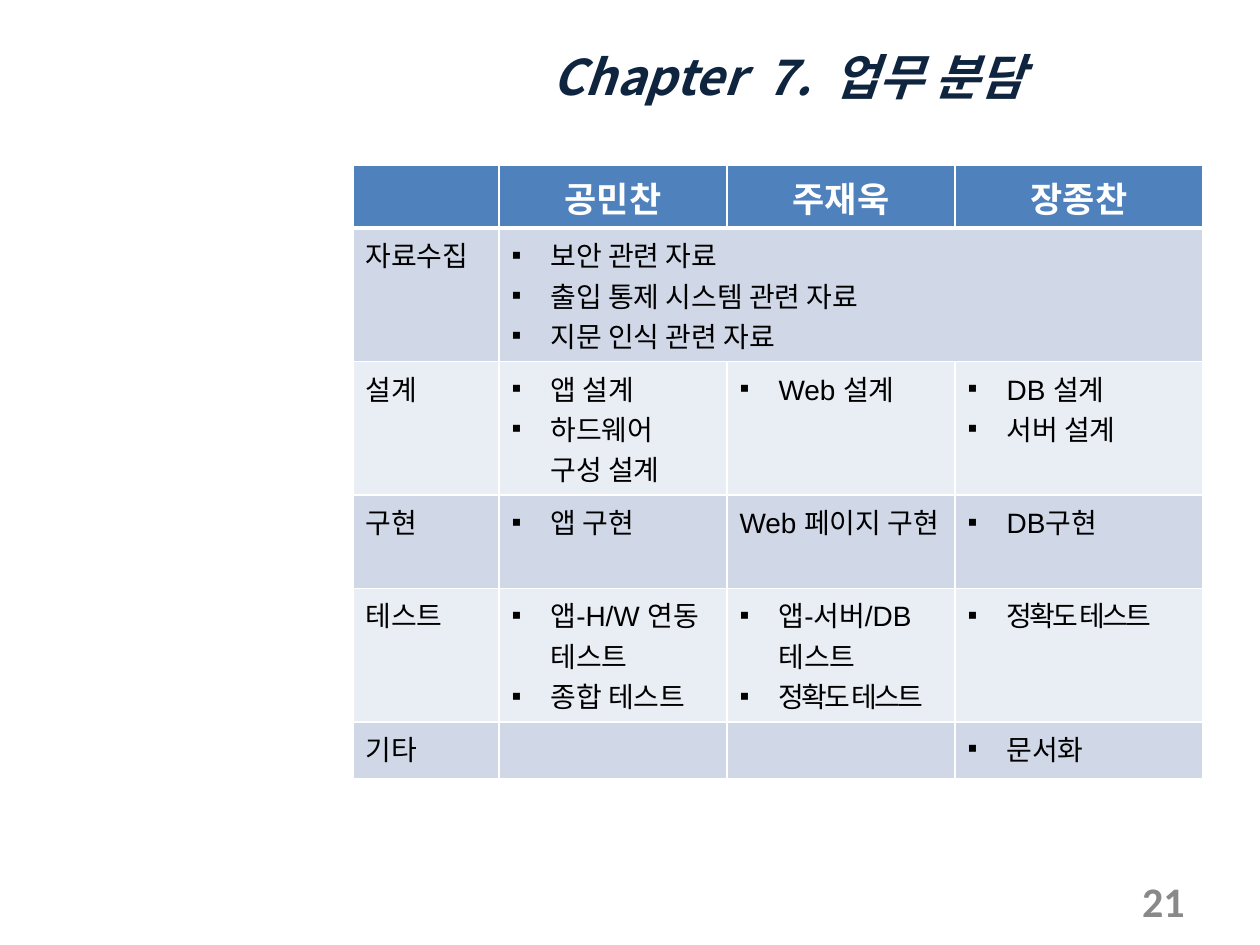
import pptx
import pptx.util
import pptx.dml.color
import pptx.enum.text
import pptx.oxml
import pptx.oxml.ns
from pptx.util import Inches

RGBColor = pptx.dml.color.RGBColor
Align = pptx.enum.text.PP_ALIGN
NAVY = RGBColor(0x0F, 0x24, 0x3E)
OUTLINE = RGBColor(0x37, 0x60, 0x92)
GRAY = RGBColor(0x89, 0x89, 0x89)
BLACK = RGBColor(0, 0, 0)
WHITE = RGBColor(0xFF, 0xFF, 0xFF)
HEADER = RGBColor(0x4F, 0x81, 0xBD)
BANDS = [RGBColor(0xD0, 0xD8, 0xE8), RGBColor(0xE9, 0xED, 0xF4)]

KOREAN = "Noto Sans CJK KR"
TITLE = {"size": 28, "name": KOREAN, "color": NAVY, "bold": True, "italic": True}
NUMBER = {"size": 24, "name": "Calibri", "color": GRAY, "bold": True}
HEADING = {"size": 20, "name": "Arial", "color": WHITE, "bold": True}
BODY = {"size": 16, "name": "Arial", "color": BLACK, "bold": False}

COLUMNS = [1.16, 1.81, 1.81, 1.97]
ROWS = [0.5, 1.06, 1.06, 0.74, 1.06, 0.45]
MEMBERS = ["", "공민찬", "주재욱", "장종찬"]
# A list is bulleted, a string is plain text
TASKS = [
    ["자료수집", ["보안 관련 자료", "출입 통제 시스템 관련 자료", "지문 인식 관련 자료"]],
    ["설계", ["앱 설계", "하드웨어\v구성 설계"], ["Web 설계"], ["DB 설계", "서버 설계"]],
    ["구현", ["앱 구현"], "Web 페이지 구현", ["DB구현"]],
    ["테스트", ["앱-H/W 연동 테스트", "종합 테스트"],
     ["앱-서버/DB 테스트", "정확도 테스트"], ["정확도 테스트"]],
    ["기타", "", "", ["문서화"]],
]
TIGHT = {"정확도 테스트": -150}


def element(xml):
    namespace = pptx.oxml.ns.nsdecls("a")
    return pptx.oxml.parse_xml(xml.replace(">", f" {namespace}>", 1))


class SlideBuilder:
    def __init__(self, slide):
        self.slide = slide

    def add_words(self, para, text, style, align=Align.LEFT):
        para.alignment = align
        for index, line in enumerate(text.split("\v")):
            if index:
                para.add_line_break()
            span = para.add_run()
            span.text = line
            for key, value in style.items():
                if key == "color":
                    span.font.color.rgb = value
                elif key == "size":
                    span.font.size = pptx.util.Pt(value)
                else:
                    setattr(span.font, key, value)
            properties = span._r.get_or_add_rPr()
            properties.find(pptx.oxml.ns.qn("a:latin")).addnext(
                element(f'<a:ea typeface="{KOREAN}"></a:ea>'))
            if text in TIGHT:
                properties.set("spc", str(TIGHT[text]))

    def text(self, left, top, width, height, text, style, align):
        box = self.slide.shapes.add_textbox(
            Inches(left), Inches(top), Inches(width), Inches(height))
        box.text_frame.word_wrap = True
        box.text_frame.vertical_anchor = pptx.enum.text.MSO_ANCHOR.MIDDLE
        para = box.text_frame.paragraphs[0]
        self.add_words(para, text, style, align)
        return para

    def outline(self, para, color, points):
        for span in para.runs:
            span._r.get_or_add_rPr().insert(0, element(
                f'<a:ln w="{int(points * 12700)}"><a:solidFill>'
                f'<a:srgbClr val="{color}"/></a:solidFill></a:ln>'))

    def bullet(self, para):
        properties = para._p.get_or_add_pPr()
        properties.set("marL", str(Inches(0.31)))
        properties.set("indent", str(-Inches(0.31)))
        properties.append(element('<a:buFont typeface="Arial"></a:buFont>'))
        properties.append(element('<a:buChar char="▪"></a:buChar>'))

    def cell(self, cell, content, fill, style, align, widths):
        cell.fill.solid()
        cell.fill.fore_color.rgb = fill
        for index, (side, points) in enumerate(zip("LRTB", widths)):
            cell._tc.get_or_add_tcPr().insert(index, element(
                f'<a:ln{side} w="{points * 12700}"><a:solidFill>'
                f'<a:srgbClr val="{WHITE}"/></a:solidFill></a:ln{side}>'))
        bulleted = isinstance(content, list)
        frame = cell.text_frame
        for index, text in enumerate(content if bulleted else [content]):
            para = frame.add_paragraph() if index else frame.paragraphs[0]
            if text:
                self.add_words(para, text, style, align)
            else:
                para.font.size = pptx.util.Pt(style["size"])
            if bulleted:
                self.bullet(para)

    def table(self, left, top, columns, rows, header, body):
        table = self.slide.shapes.add_table(
            len(rows), len(columns), Inches(left), Inches(top),
            Inches(sum(columns)), Inches(sum(rows))).table
        for column, width in zip(table.columns, columns):
            column.width = Inches(width)
        for row, height in zip(table.rows, rows):
            row.height = Inches(height)
        for index, name in enumerate(header):
            self.cell(table.cell(0, index), name, HEADER, HEADING,
                      Align.CENTER, (1, 1, 1, 3))
        for row, contents in enumerate(body, 1):
            widths = (1, 1, 3 if row == 1 else 1, 1)
            for index, content in enumerate(contents):
                self.cell(table.cell(row, index), content, BANDS[(row - 1) % 2],
                          BODY, Align.LEFT, widths)
            # A short row stretches its last cell to the right edge
            if len(contents) < len(columns):
                table.cell(row, len(contents) - 1).merge(
                    table.cell(row, len(columns) - 1))


def main():
    deck = pptx.Presentation()
    deck.slide_width, deck.slide_height = Inches(10), Inches(7.5)
    page = SlideBuilder(deck.slides.add_slide(deck.slide_layouts[6]))

    # Title
    title = page.text(2.8, 0.21, 6.92, 0.79, "Chapter  7.  업무 분담", TITLE, Align.CENTER)
    page.outline(title, OUTLINE, 0.75)

    # Division of work
    page.table(2.8, 1.31, COLUMNS, ROWS, MEMBERS, TASKS)

    # Page number
    page.text(7.17, 6.95, 2.33, 0.4, "21", NUMBER, Align.RIGHT)

    deck.save("out.pptx")


if __name__ == "__main__":
    main()
